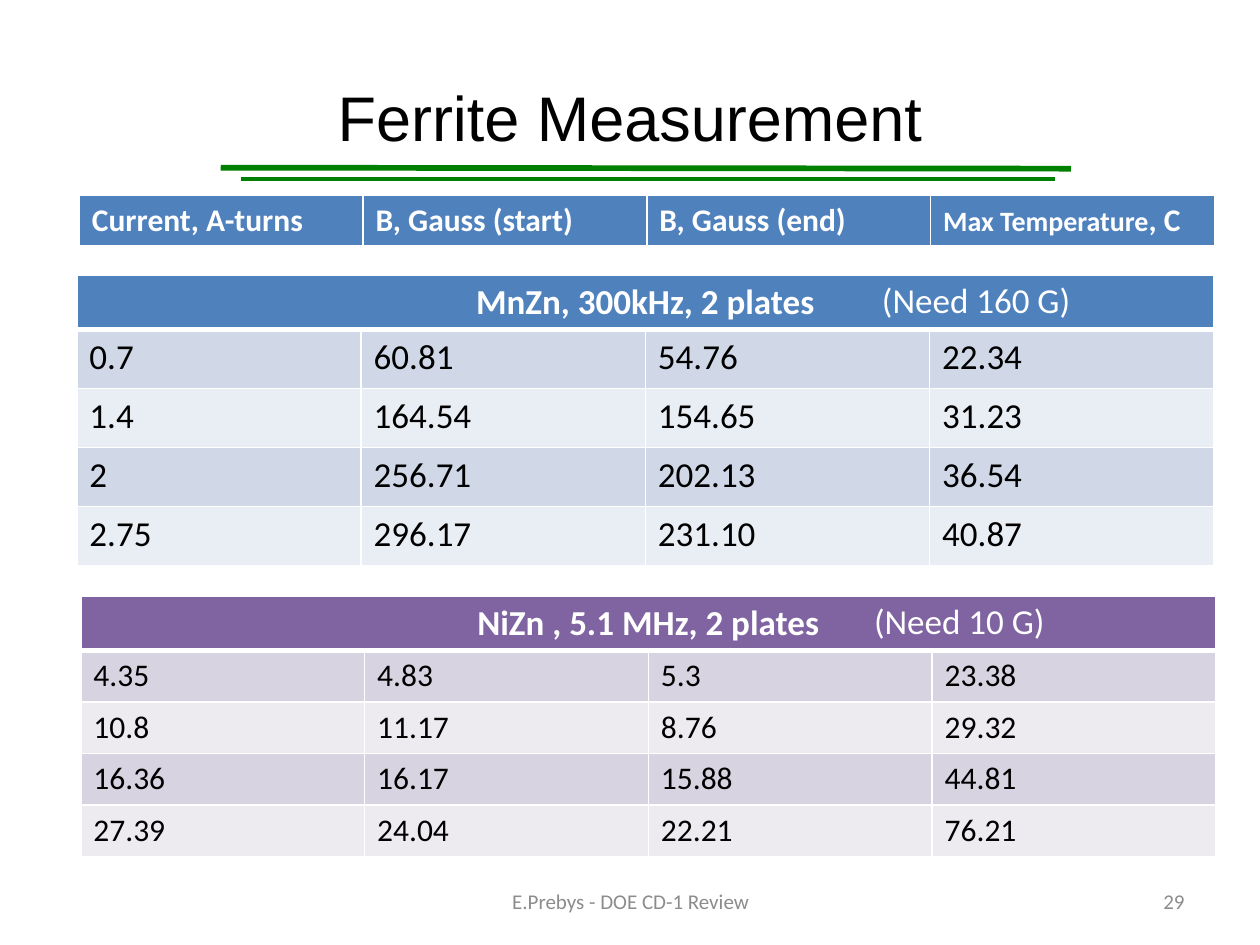
from lxml import etree
from pptx import Presentation
from pptx.dml.color import RGBColor
from pptx.enum import shapes, text
from pptx.oxml import ns
from pptx.util import Cm, Pt

WHITE, BLACK, GREY, GREEN = "FFFFFF", "000000", "8C8C8C", "008000"
BLUE, PURPLE = "4F81BD", "8064A2"
BLUE_BANDS = ("D0D8E8", "E9EDF4")
PURPLE_BANDS = ("D8D3E0", "EDEAF0")
LEFT, CENTER, RIGHT = text.PP_ALIGN.LEFT, text.PP_ALIGN.CENTER, text.PP_ALIGN.RIGHT

MNZN = [
    ("0.7", "60.81", "54.76", "22.34"),
    ("1.4", "164.54", "154.65", "31.23"),
    ("2", "256.71", "202.13", "36.54"),
    ("2.75", "296.17", "231.10", "40.87"),
]
NIZN = [
    ("4.35", "4.83", "5.3", "23.38"),
    ("10.8", "11.17", "8.76", "29.32"),
    ("16.36", "16.17", "15.88", "44.81"),
    ("27.39", "24.04", "22.21", "76.21"),
]


def rgb(value):
    return RGBColor.from_string(value)


def write(frame, words, size=18, color=BLACK, bold=False, align=LEFT, font="Calibri"):
    paragraph = frame.paragraphs[0]
    paragraph.alignment = align
    run = paragraph.add_run()
    run.text = words
    run.font.size = Pt(size)
    run.font.name = font
    run.font.bold = bold
    run.font.color.rgb = rgb(color)


def add_label(slide, words, left, top, width, height, anchor=text.MSO_ANCHOR.MIDDLE, **style):
    frame = slide.shapes.add_textbox(Cm(left), Cm(top), Cm(width), Cm(height)).text_frame
    frame.word_wrap = True
    frame.vertical_anchor = anchor
    write(frame, words, **style)


def add_rule(slide, start, end, weight):
    rule = slide.shapes.add_connector(
        shapes.MSO_CONNECTOR.STRAIGHT, *(Cm(length) for length in start + end)
    )
    rule.line.color.rgb = rgb(GREEN)
    rule.line.width = Pt(weight)
    etree.SubElement(rule._element.spPr, ns.qn("a:effectLst"))


def paint_cell(cell, color, top=1, bottom=1):
    properties = cell._tc.get_or_add_tcPr()
    for side, weight in (("L", 1), ("R", 1), ("T", top), ("B", bottom)):
        border = etree.SubElement(properties, ns.qn(f"a:ln{side}"), w=str(Pt(weight)))
        fill = etree.SubElement(border, ns.qn("a:solidFill"))
        etree.SubElement(fill, ns.qn("a:srgbClr"), val=WHITE)
    cell.fill.solid()
    cell.fill.fore_color.rgb = rgb(color)


def add_grid(slide, left, top, column_width, row_heights):
    grid = slide.shapes.add_table(
        len(row_heights), 4, Cm(left), Cm(top), Cm(4 * column_width), Cm(sum(row_heights))
    ).table
    grid.first_row = grid.horz_banding = False
    for column in grid.columns:
        column.width = Cm(column_width)
    for row, height in zip(grid.rows, row_heights):
        row.height = Cm(height)
    return grid


def add_column_headings(slide):
    headings = add_grid(slide, 1.6, 3.94, 5.72, [1.04])
    names = ("Current, A-turns", "B, Gauss (start)", "B, Gauss (end)", "Max Temperature")
    for column, name in enumerate(names):
        cell = headings.cell(0, column)
        paint_cell(cell, BLUE, bottom=3)
        size = 16 if name == "Max Temperature" else 18
        write(cell.text_frame, name, size=size, color=WHITE, bold=True)
    write(headings.cell(0, 3).text_frame, ", C", color=WHITE, bold=True)


def add_measurements(slide, material, readings, left, top, column_width, row_heights,
                     heading_color, bands, size):
    grid = add_grid(slide, left, top, column_width, row_heights)
    heading = grid.cell(0, 0)
    heading.merge(grid.cell(0, 3))
    for column in range(4):
        paint_cell(grid.cell(0, column), heading_color, bottom=3)
    write(heading.text_frame, material, size=20, color=WHITE, bold=True, align=CENTER)
    for row, values in enumerate(readings, start=1):
        for column, value in enumerate(values):
            cell = grid.cell(row, column)
            paint_cell(cell, bands[(row - 1) % 2], top=3 if row == 1 else 1)
            write(cell.text_frame, value, size=size)


def main():
    deck = Presentation()
    deck.slide_width, deck.slide_height = Cm(25.4), Cm(19.05)
    slide = deck.slides.add_slide(deck.slide_layouts[6])

    add_rule(slide, (4.45, 3.38), (21.59, 3.4), 3.25)
    add_rule(slide, (4.85, 3.61), (21.26, 3.61), 2)
    add_label(slide, "Ferrite Measurement", 1.27, 0.76, 22.86, 3.18,
              size=36, align=CENTER, font="Arial")
    add_label(slide, "E.Prebys - DOE CD-1 Review", 8.69, 17.65, 8.05, 1.02,
              size=12, color=GREY, align=CENTER)
    add_label(slide, "29", 18.21, 17.65, 5.92, 1.02, size=12, color=GREY, align=RIGHT)

    add_column_headings(slide)
    add_measurements(slide, "MnZn, 300kHz, 2 plates", MNZN, 1.55, 5.54, 5.73,
                     [1.07] + [1.19] * 4, BLUE, BLUE_BANDS, 20)
    add_measurements(slide, "NiZn , 5.1 MHz, 2 plates", NIZN, 1.63, 12.01, 5.72,
                     [1.04] * 5, PURPLE, PURPLE_BANDS, 18)
    for need, left, top in (("(Need 160 G)", 17.53, 5.49), ("(Need 10 G)", 17.37, 11.96)):
        add_label(slide, need, left, top, 5.61, 1.12,
                  anchor=text.MSO_ANCHOR.TOP, size=20, color=WHITE)

    deck.save("out.pptx")


if __name__ == "__main__":
    main()
